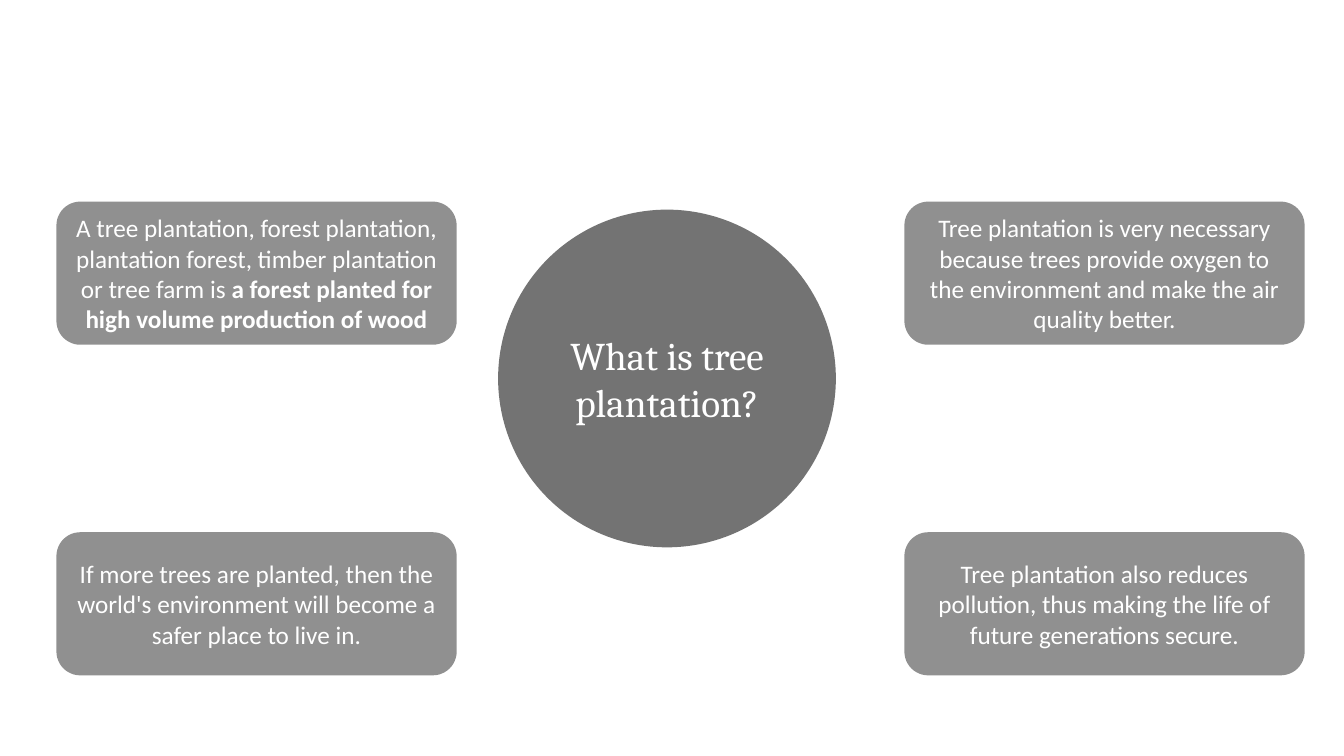
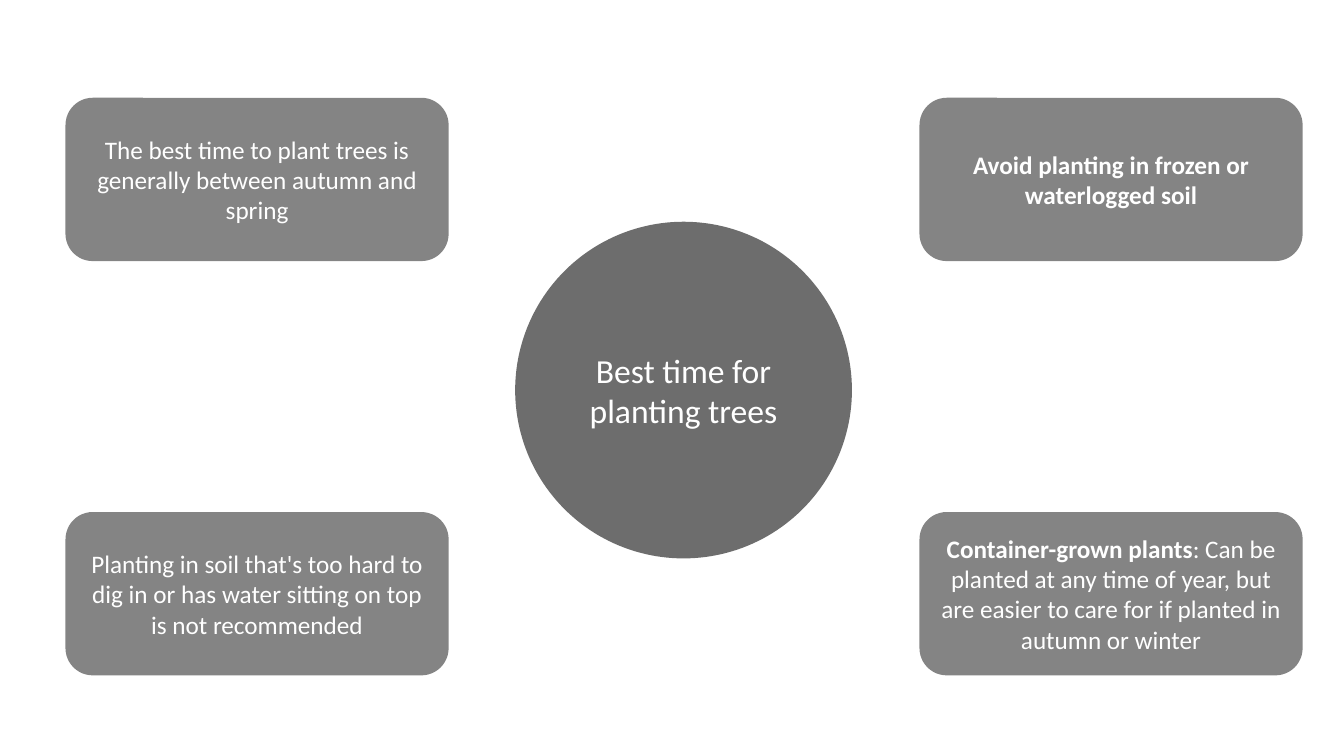
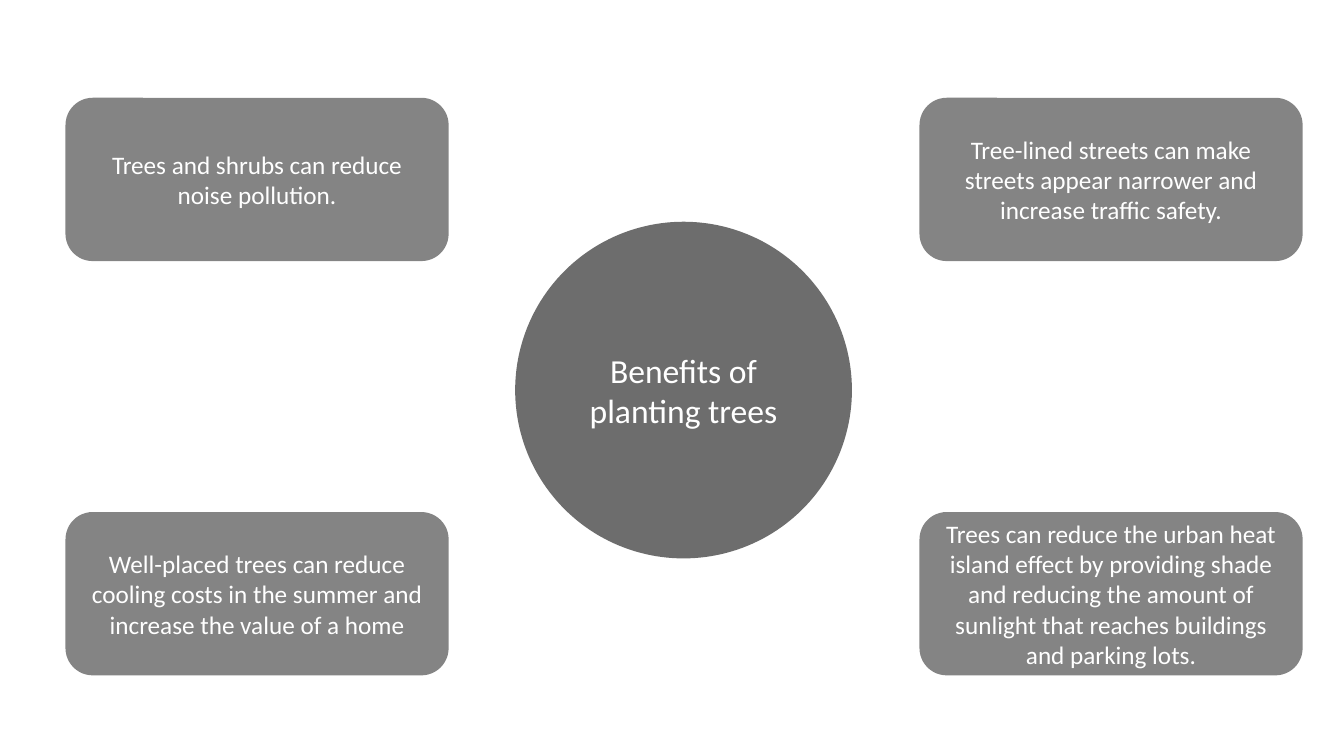
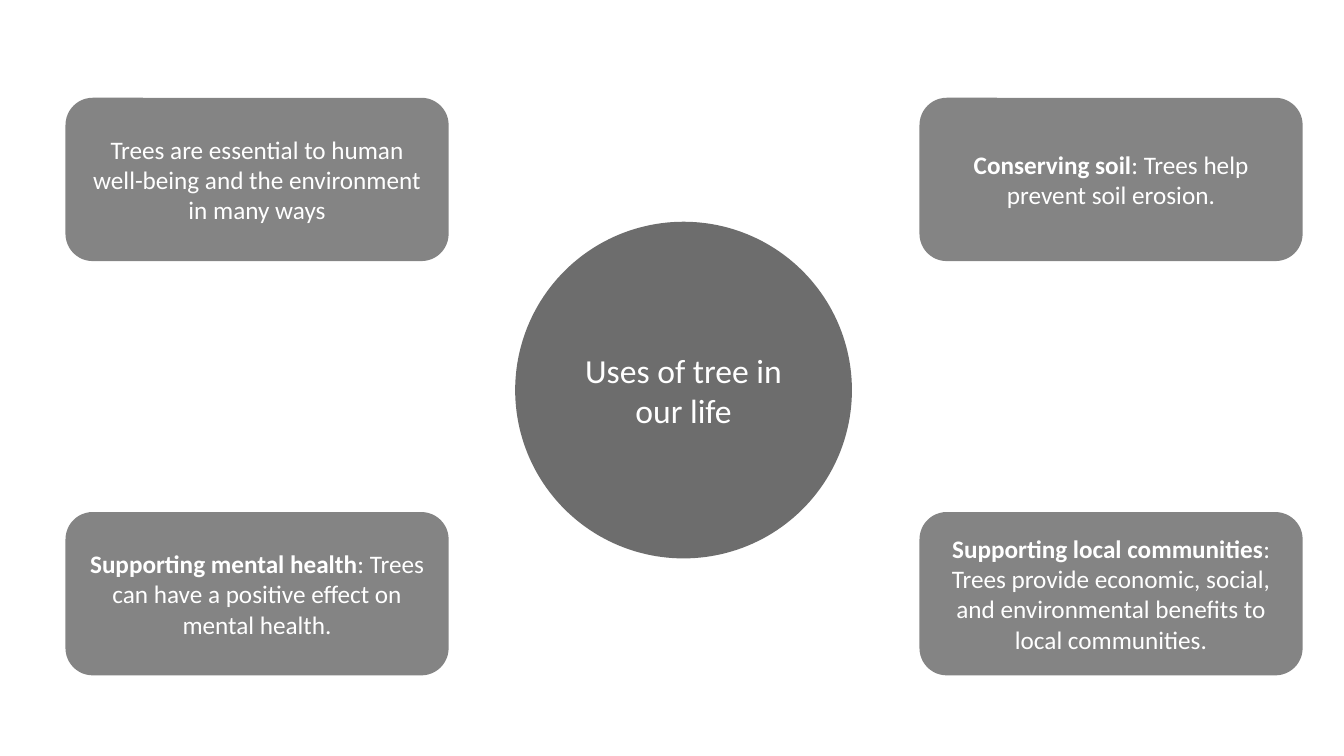
"""Build four tree planting slides, each a central topic circle with four corner cards."""
import pptx
import pptx.dml.color
import pptx.enum.shapes
import pptx.enum.text
import pptx.oxml
import pptx.util
from pptx.util import Inches

GREY = "404040"
WHITE = "FFFFFF"
FONT = "Calibri"
CARD_TEXT_SIZE = 18

OPENING_LAYOUT = {
    "circle": (4.94, 2.08, 3.35), "circle_opacity": 73,
    "topic_font": "Cambria", "topic_size": 28,
    "columns": (0.56, 8.97), "rows": (2, 5.28),
    "card_size": (3.97, 1.42), "card_opacity": 58,
}
TOPIC_LAYOUT = {
    "circle": (5.11, 2.2, 3.34), "circle_opacity": 76,
    "topic_font": FONT, "topic_size": 24,
    "columns": (0.65, 9.12), "rows": (0.97, 5.08),
    "card_size": (3.8, 1.62), "card_opacity": 64,
}

# Cards run left to right, top to bottom; each card is a list of (text, bold) runs.
SLIDES = [
    (OPENING_LAYOUT, "What is tree plantation?", [
        [("A tree plantation, forest plantation, plantation forest, timber plantation or tree farm is ", False),
         ("a forest planted for high volume production of wood", True)],
        [("Tree plantation is very necessary because trees provide oxygen to the environment "
          "and make the air quality better.", False)],
        [("If more trees are planted, then the world's environment will become a safer place to live in.", False)],
        [("Tree plantation also reduces pollution, thus making the life of future generations secure.", False)],
    ]),
    (TOPIC_LAYOUT, "Best time for planting trees", [
        [("The best time to plant trees is generally between autumn and spring", False)],
        [("Avoid planting in frozen or waterlogged soil", True)],
        [("Planting in soil that's too hard to dig in or has water sitting on top is not recommended", False)],
        [("Container-grown plants", True),
         (": Can be planted at any time of year, but are easier to care for if planted in autumn or winter", False)],
    ]),
    (TOPIC_LAYOUT, "Benefits of planting trees", [
        [("Trees and shrubs can reduce noise pollution.", False)],
        [("Tree-lined streets can make streets appear narrower and increase traffic safety.", False)],
        [("Well-placed trees can reduce cooling costs in the summer and increase the value of a home", False)],
        [("Trees can reduce the urban heat island effect by providing shade and reducing the amount "
          "of sunlight that reaches buildings and parking lots.", False)],
    ]),
    (TOPIC_LAYOUT, "Uses of tree in our life", [
        [("Trees are essential to human well-being and the environment in many ways", False)],
        [("Conserving soil", True), (": Trees help prevent soil erosion.", False)],
        [("Supporting mental health", True), (": Trees can have a positive effect on mental health.", False)],
        [("Supporting local communities", True),
         (": Trees provide economic, social, and environmental benefits to local communities.", False)],
    ]),
]


def color(value):
    return pptx.dml.color.RGBColor.from_string(value)


def write_text(shape, runs, size=CARD_TEXT_SIZE, font=FONT, fill=WHITE):
    frame = shape.text_frame
    frame.word_wrap = True
    frame.vertical_anchor = pptx.enum.text.MSO_ANCHOR.MIDDLE
    paragraph = frame.paragraphs[0]
    paragraph.alignment = pptx.enum.text.PP_ALIGN.CENTER
    for text, bold in runs:
        run = paragraph.add_run()
        run.text = text
        run.font.name = font
        run.font.size = pptx.util.Pt(size)
        run.font.bold = bold
        run.font.color.rgb = color(fill)


def add_panel(slide, kind, box, opacity):
    shape = slide.shapes.add_shape(kind, *(Inches(length) for length in box))
    shape.shadow.inherit = False
    shape.line.fill.background()
    shape.fill.solid()
    shape.fill.fore_color.rgb = color(GREY)
    fill_color = shape.fill._xPr.find(".//" + pptx.oxml.ns.qn("a:srgbClr"))
    alpha = pptx.oxml.parse_xml(
        f'<a:alpha {pptx.oxml.ns.nsdecls("a")} val="{opacity * 1000}"/>')
    fill_color.append(alpha)
    return shape


def add_topic_slide(presentation, layout, topic, cards):
    slide = presentation.slides.add_slide(presentation.slide_layouts.get_by_name("Blank"))
    shapes = pptx.enum.shapes.MSO_SHAPE
    left, top, diameter = layout["circle"]
    circle = add_panel(slide, shapes.FLOWCHART_CONNECTOR,
                       (left, top, diameter, diameter), layout["circle_opacity"])
    write_text(circle, [(topic, False)], size=layout["topic_size"], font=layout["topic_font"])
    corners = [(column, row) for row in layout["rows"] for column in layout["columns"]]
    for corner, runs in zip(corners, cards):
        card = add_panel(slide, shapes.ROUNDED_RECTANGLE,
                         corner + layout["card_size"], layout["card_opacity"])
        write_text(card, runs)


def main():
    presentation = pptx.Presentation()
    presentation.slide_width = Inches(13.33)
    presentation.slide_height = Inches(7.5)
    for layout, topic, cards in SLIDES:
        add_topic_slide(presentation, layout, topic, cards)
    presentation.save("out.pptx")


if __name__ == "__main__":
    main()
